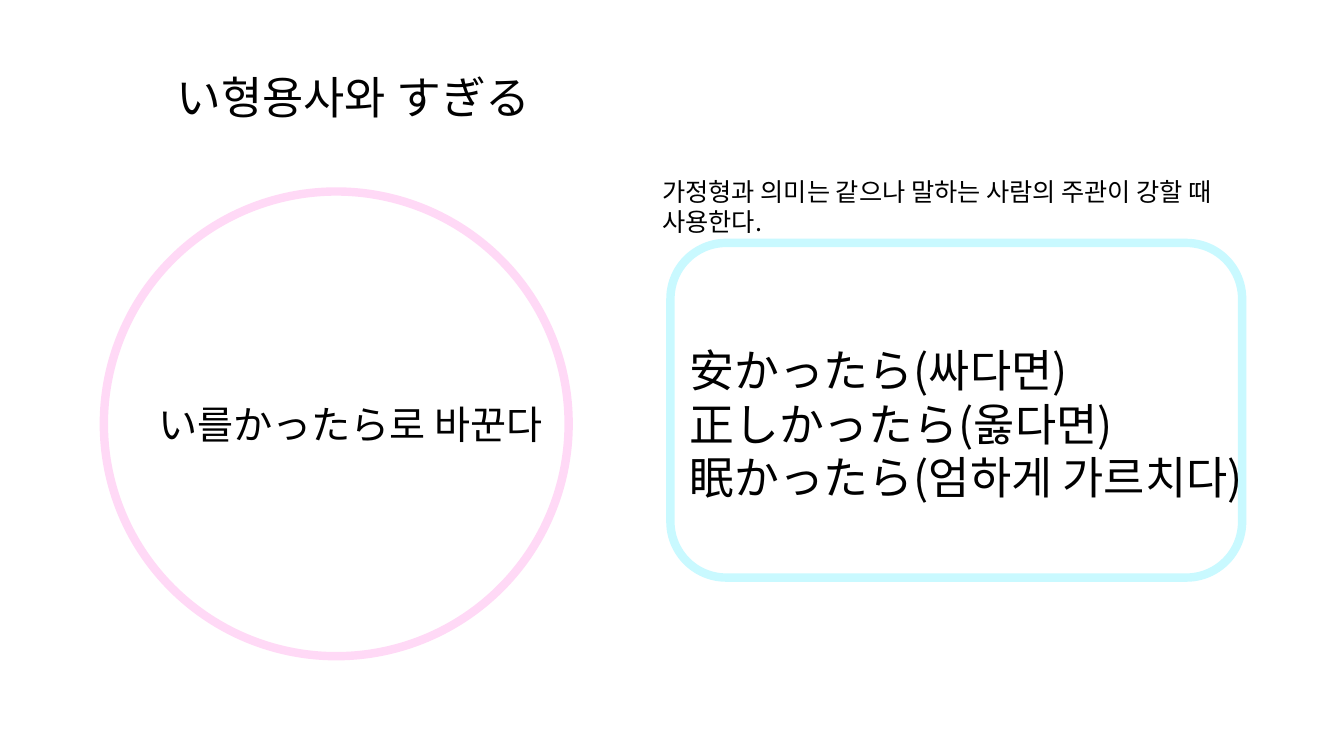
import pptx
import pptx.dml.color
import pptx.enum.shapes
import pptx.enum.text
import pptx.oxml.ns
import pptx.util
from lxml import etree

PX = 9144  # EMU per px, 100 px to the inch
JA = "Lato"
KO = "Noto Sans CJK KR"
SHAPES = pptx.enum.shapes.MSO_SHAPE


def color(hex_code):
    return pptx.dml.color.RGBColor.from_string(hex_code)


def emu(*lengths):
    return [pptx.util.Emu(length * PX) for length in lengths]


def add_outline(s, kind, box, line_color):
    sp = s.shapes.add_shape(kind, *emu(*box))
    sp.shadow.inherit = False
    sp.fill.background()
    sp.line.color.rgb = color(line_color)
    sp.line.width = pptx.util.Pt(6)


def add_run(p, text, font_name, size):
    r = p.add_run()
    r.text = text
    formats = {"size": pptx.util.Pt(size), "name": font_name}
    for name, value in formats.items():
        setattr(r.font, name, value)
    r.font.color.rgb = color("000000")
    ea = etree.Element(pptx.oxml.ns.qn("a:ea"), typeface=font_name)
    r.font._element.find(pptx.oxml.ns.qn("a:latin")).addnext(ea)


def add_text(s, box, size, paragraphs):
    """Add a text box; each paragraph is a list of (text, font) pairs."""
    tf = s.shapes.add_textbox(*emu(*box)).text_frame
    formats = {
        "word_wrap": True,
        "auto_size": pptx.enum.text.MSO_AUTO_SIZE.SHAPE_TO_FIT_TEXT,
    }
    for name, value in formats.items():
        setattr(tf, name, value)
    for i, runs in enumerate(paragraphs):
        p = tf.add_paragraph() if i else tf.paragraphs[0]
        p.line_spacing = pptx.util.Pt(round(size * 1.2, 1))
        for text, font_name in runs:
            add_run(p, text, font_name, size)


def main():
    prs = pptx.Presentation()
    prs.slide_width, prs.slide_height = emu(1333, 750)
    s = prs.slides.add_slide(prs.slide_layouts[6])

    add_outline(s, SHAPES.ROUNDED_RECTANGLE, (665, 241, 567, 332), "C9F9FF")
    add_text(s, (165, 64, 562, 64), 32,
             [[("い", JA), ("형용사와 ", KO), ("すぎる", JA)]])

    add_outline(s, SHAPES.OVAL, (103, 190, 461, 461), "FFD9F6")
    add_text(s, (147, 392, 449, 57), 28,
             [[("い", JA), ("를", KO), ("かったら", JA), ("로 바꾼다", KO)]])

    examples = [
        ("安かったら", "(싸다면)"),
        ("正しかったら", "(옳다면)"),
        ("眠かったら", "(엄하게 가르치다)"),
    ]
    add_text(s, (674, 335, 577, 172), 32,
             [[(word, JA), (meaning, KO)] for word, meaning in examples])
    add_text(s, (647, 170, 585, 40), 18,
             [[("가정형과 의미는 같으나 말하는 사람의 주관이 강할 때 사용한다.", KO)]])

    prs.save("out.pptx")


if __name__ == "__main__":
    main()
